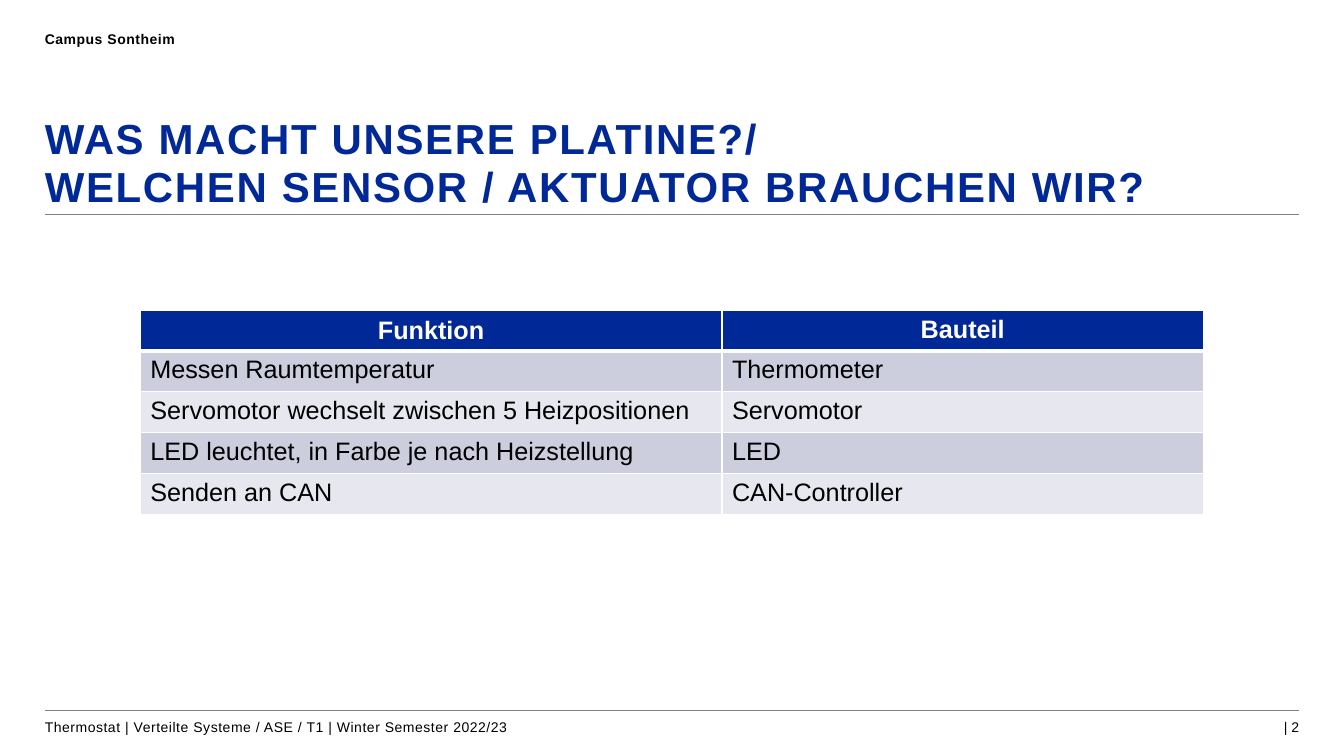
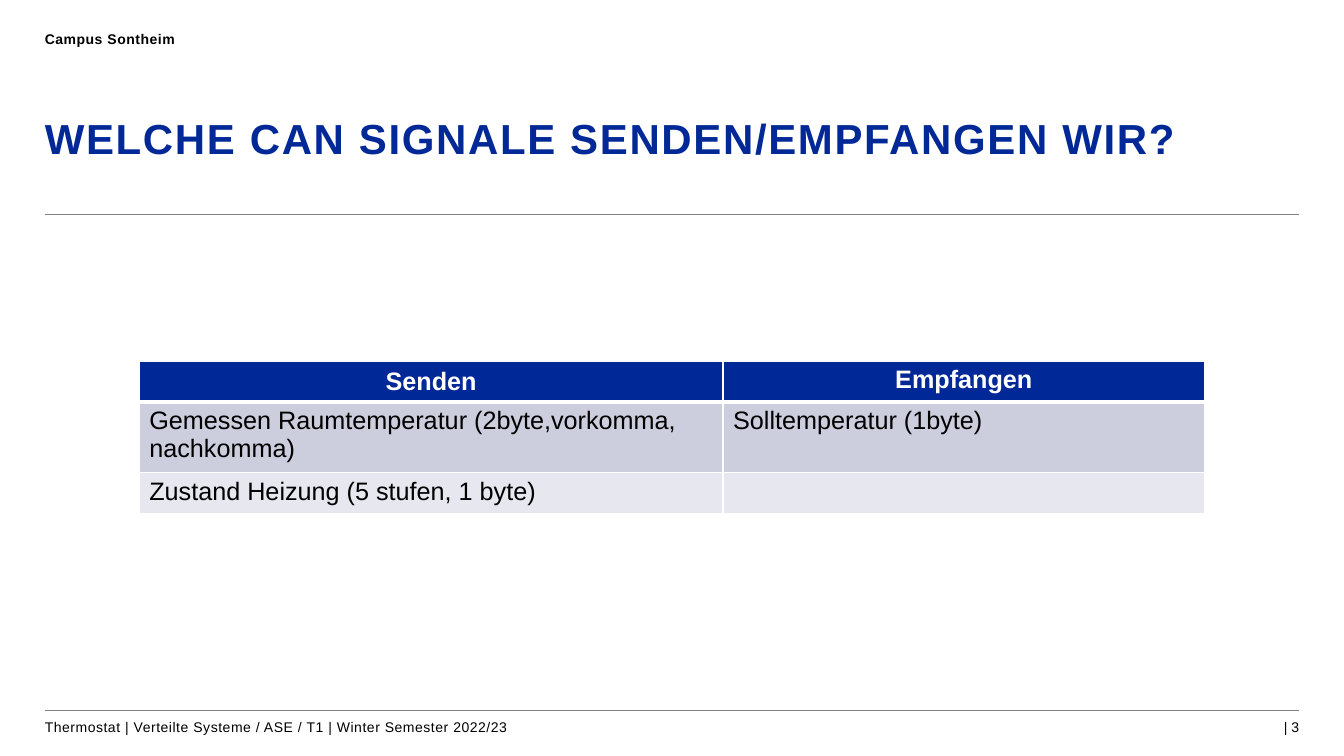
from pptx import Presentation
from pptx.dml.color import RGBColor
from pptx.enum.shapes import MSO_CONNECTOR
from pptx.enum.text import MSO_ANCHOR, PP_ALIGN
from pptx.oxml import parse_xml
from pptx.oxml.ns import nsdecls
from pptx.util import Pt

FONT = "Arial"
BLUE = RGBColor(0x00, 0x28, 0x96)
BLACK = RGBColor(0x00, 0x00, 0x00)
WHITE = RGBColor(0xFF, 0xFF, 0xFF)
GRAY = RGBColor(0x80, 0x80, 0x80)
BANDS = (RGBColor(0xCC, 0xCD, 0xDD), RGBColor(0xE7, 0xE8, 0xEF))

SLIDE_WIDTH, SLIDE_HEIGHT = 960, 540
LEFT, RIGHT = 32, 928
RULES = (153.2, 507.6)
LABEL_WIDTH, LABEL_HEIGHT = 581, 17.3
FOOTER_TOP = 513.4
NUMBER_WIDTH = 150

CAMPUS = "Campus Sontheim"
FOOTER = "Thermostat | Verteilte Systeme / ASE / T1 | Winter Semester 2022/23"
FIRST_NUMBER = 2

SLIDES = [
    {
        "title": "WAS MACHT UNSERE PLATINE?/\vWELCHEN SENSOR / AKTUATOR BRAUCHEN WIR?",
        "position": (100.2, 221.8),
        "columns": (415.5, 344),
        "heights": (27.5, 29.2, 29.2, 29.2, 29.2),
        "rows": [
            ("Funktion", "Bauteil"),
            ("Messen Raumtemperatur", "Thermometer"),
            ("Servomotor wechselt zwischen 5 Heizpositionen", "Servomotor"),
            ("LED leuchtet, in Farbe je nach Heizstellung", "LED"),
            ("Senden an CAN", "CAN-Controller"),
        ],
    },
    {
        "title": "WELCHE CAN SIGNALE SENDEN/EMPFANGEN WIR?",
        "position": (99.5, 257.8),
        "columns": (417, 344),
        "heights": (29.2, 48.6, 29.2),
        "rows": [
            ("Senden", "Empfangen"),
            ("Gemessen Raumtemperatur (2byte,vorkomma, nachkomma)", "Solltemperatur (1byte)"),
            ("Zustand Heizung (5 stufen, 1 byte)", ""),
        ],
    },
]


def style_font(paragraph, size, color, bold):
    font = paragraph.font
    font.name, font.size, font.bold = FONT, Pt(size), bold
    font.color.rgb = color


def add_text(slide, text, left, top, width, height, size=10, color=BLACK,
             bold=False, tracking=0.4, align=PP_ALIGN.LEFT, line_spacing=None):
    """Add a text box without insets; tracking is the letter spacing in points."""
    frame = slide.shapes.add_textbox(Pt(left), Pt(top), Pt(width), Pt(height)).text_frame
    frame.word_wrap = True
    frame.margin_left = frame.margin_right = frame.margin_top = frame.margin_bottom = 0
    paragraph = frame.paragraphs[0]
    paragraph.text = text
    paragraph.alignment = align
    paragraph.line_spacing = line_spacing
    style_font(paragraph, size, color, bold)
    for run in paragraph.runs:
        run._r.get_or_add_rPr().set("spc", str(round(tracking * 100)))


def add_rule(slide, y):
    rule = slide.shapes.add_connector(MSO_CONNECTOR.STRAIGHT, Pt(LEFT), Pt(y), Pt(RIGHT), Pt(y))
    rule.line.color.rgb = GRAY
    rule.line.width = Pt(0.5)
    rule._element.spPr.append(parse_xml(f"<a:effectLst {nsdecls('a')}/>"))


def add_frame(slide, title, number):
    """Add the title and everything the slides share."""
    for y in RULES:
        add_rule(slide, y)
    add_text(slide, CAMPUS, LEFT, 21.6, LABEL_WIDTH, LABEL_HEIGHT, bold=True)
    add_text(slide, FOOTER, LEFT, FOOTER_TOP, LABEL_WIDTH, LABEL_HEIGHT)
    add_text(slide, f"| {number}", RIGHT - NUMBER_WIDTH, FOOTER_TOP, NUMBER_WIDTH,
             LABEL_HEIGHT, tracking=0, align=PP_ALIGN.RIGHT)
    add_text(slide, title, LEFT, 83.5, RIGHT - LEFT, 67.7, size=30, color=BLUE,
             bold=True, tracking=1.2, line_spacing=0.94)


def set_borders(cell, top, bottom):
    for side, width in (("L", 1), ("R", 1), ("T", top), ("B", bottom)):
        cell._tc.get_or_add_tcPr().append(parse_xml(
            f'<a:ln{side} {nsdecls("a")} w="{Pt(width)}"><a:solidFill>'
            f'<a:srgbClr val="{WHITE}"/></a:solidFill></a:ln{side}>'))


def fill_cell(cell, text, row, column):
    header = row == 0
    set_borders(cell, top=3 if row == 1 else 1, bottom=3 if header else 1)
    cell.fill.solid()
    cell.fill.fore_color.rgb = BLUE if header else BANDS[(row - 1) % 2]
    cell.vertical_anchor = MSO_ANCHOR.MIDDLE if header and column == 0 else MSO_ANCHOR.TOP
    paragraph = cell.text_frame.paragraphs[0]
    paragraph.text = text
    paragraph.alignment = PP_ALIGN.CENTER if header else PP_ALIGN.LEFT
    style_font(paragraph, 18, WHITE if header else BLACK, header)


def add_signal_table(slide, position, columns, heights, rows):
    left, top = position
    table = slide.shapes.add_table(len(rows), len(columns), Pt(left), Pt(top),
                                   Pt(sum(columns)), Pt(sum(heights))).table
    table.horz_banding = False
    for column, width in zip(table.columns, columns):
        column.width = Pt(width)
    for r, (height, texts) in enumerate(zip(heights, rows)):
        table.rows[r].height = Pt(height)
        for c, text in enumerate(texts):
            fill_cell(table.cell(r, c), text, r, c)


def main():
    presentation = Presentation()
    presentation.slide_width, presentation.slide_height = Pt(SLIDE_WIDTH), Pt(SLIDE_HEIGHT)
    for number, content in enumerate(SLIDES, FIRST_NUMBER):
        slide = presentation.slides.add_slide(presentation.slide_layouts[6])
        add_frame(slide, content["title"], number)
        add_signal_table(slide, content["position"], content["columns"],
                         content["heights"], content["rows"])
    presentation.save("out.pptx")


if __name__ == "__main__":
    main()
